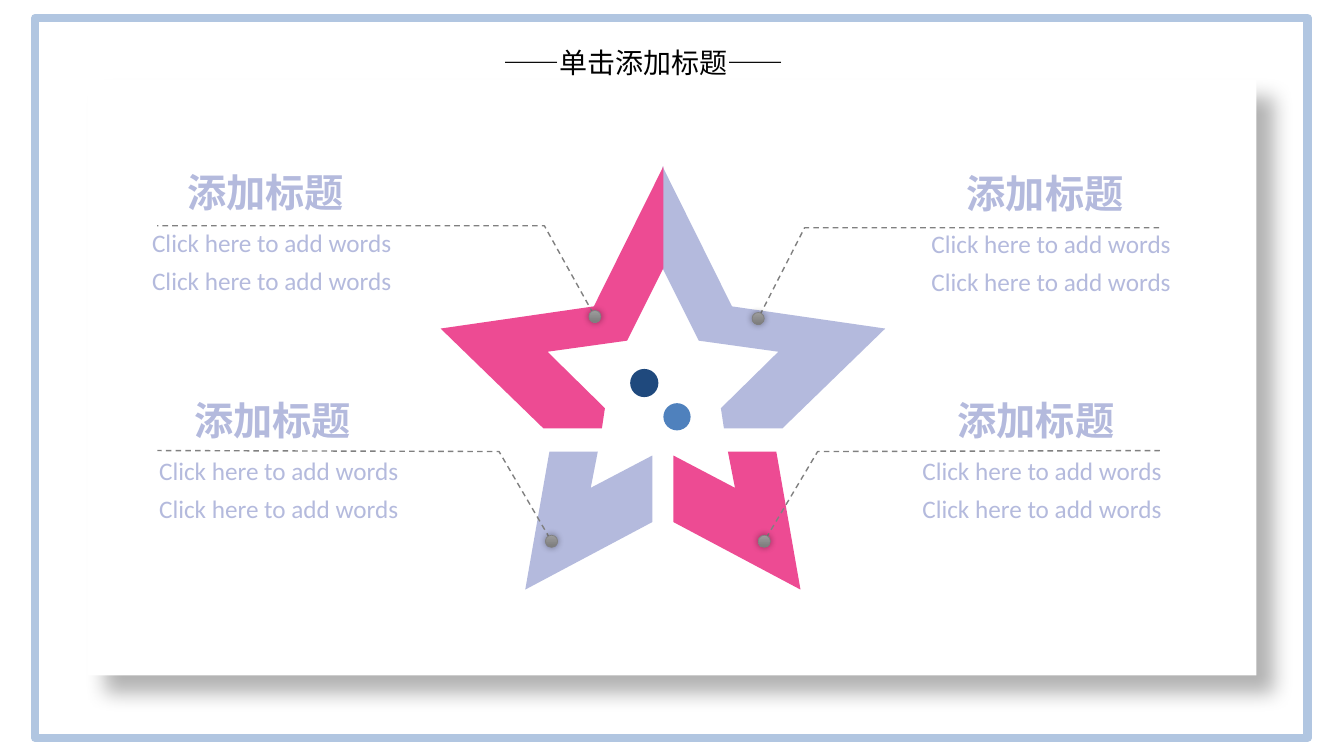
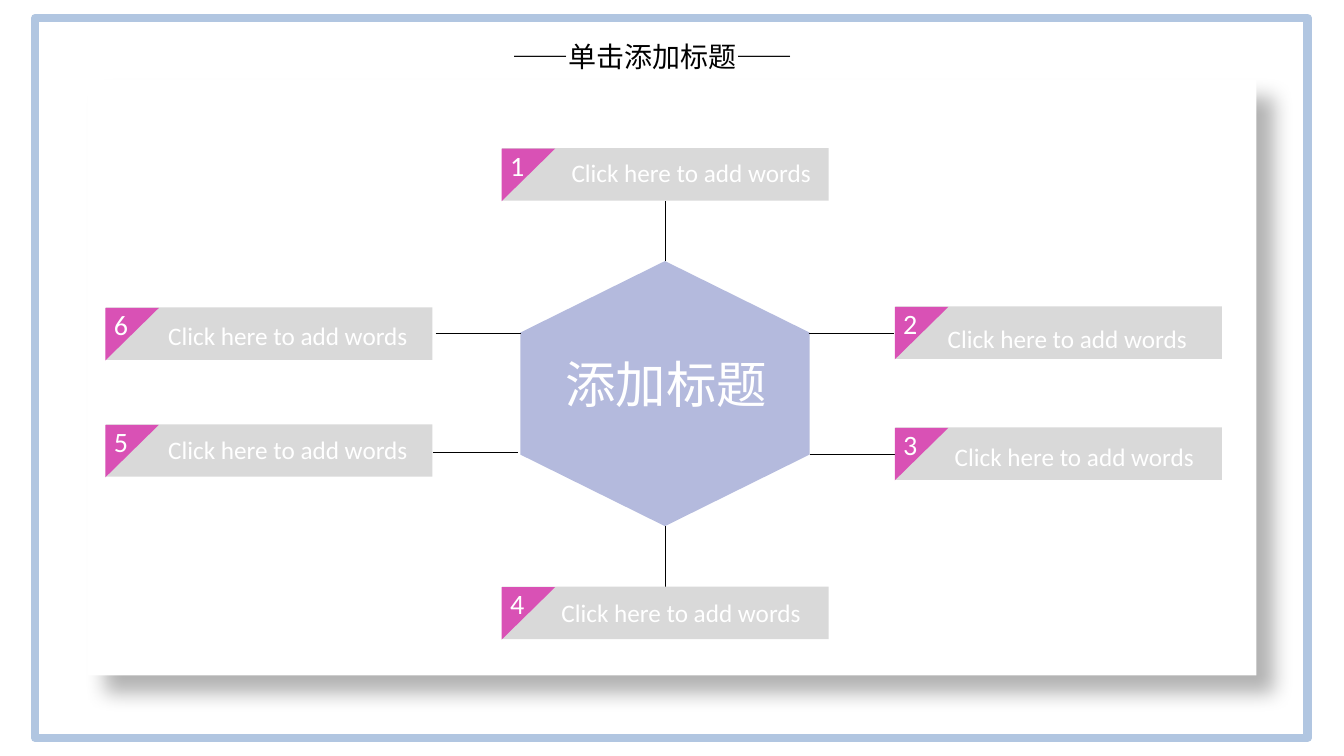
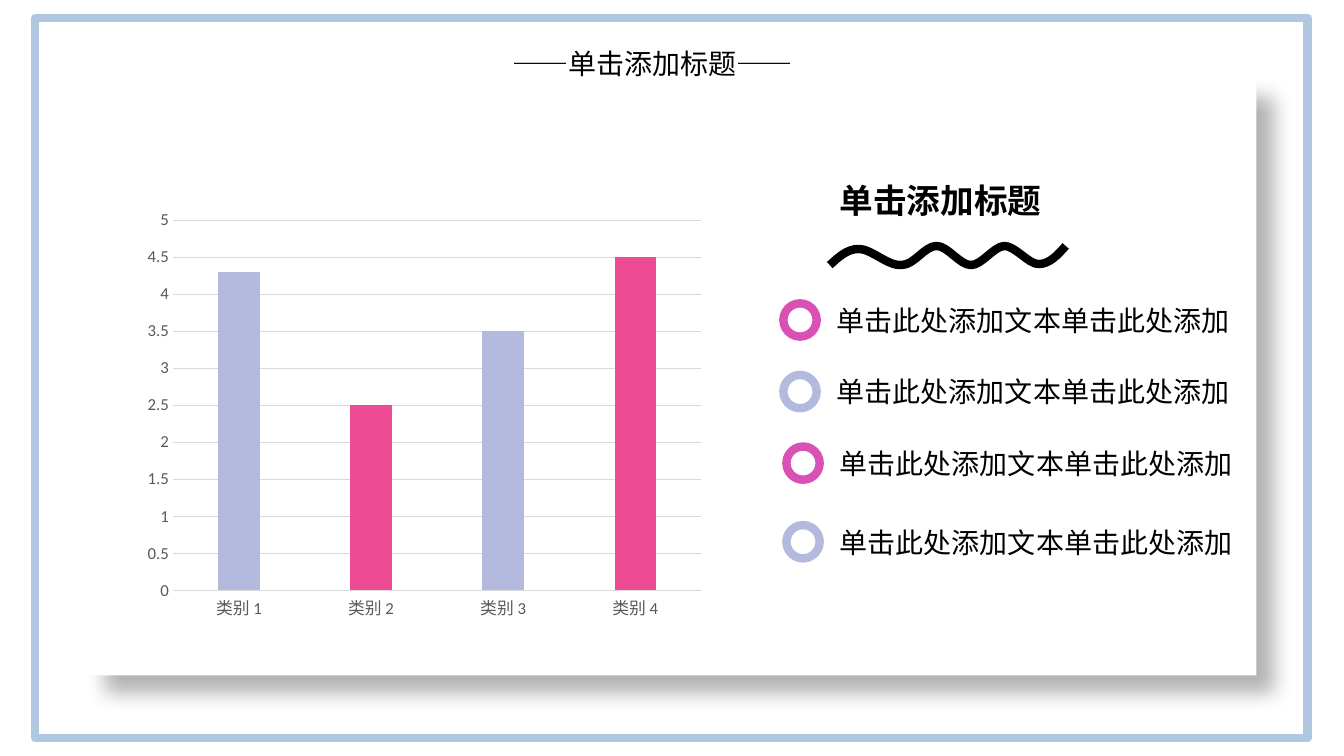
from dataclasses import dataclass
from itertools import cycle

from lxml import etree
from pptx import Presentation
from pptx.chart.data import CategoryChartData
from pptx.dml.color import RGBColor
from pptx.enum.chart import XL_CHART_TYPE, XL_TICK_MARK
from pptx.enum.dml import MSO_LINE
from pptx.enum.shapes import MSO_CONNECTOR, MSO_SHAPE
from pptx.enum.text import MSO_ANCHOR, MSO_AUTO_SIZE, PP_ALIGN
from pptx.oxml.ns import qn
from pptx.shapes.autoshape import Shape
from pptx.slide import Slide
from pptx.text.text import TextFrame
from pptx.util import Emu, Pt

PX = 9144  # EMU in one px, 100 px to the inch
RECTANGLE = MSO_SHAPE.RECTANGLE
OVAL = MSO_SHAPE.OVAL
HEXAGON = MSO_SHAPE.HEXAGON
TRIANGLE = MSO_SHAPE.RIGHT_TRIANGLE
COLUMNS = XL_CHART_TYPE.COLUMN_CLUSTERED
NO_TICK = XL_TICK_MARK.NONE
TITLE_ONLY = 5

Point = tuple[int, int]
Area = tuple[int, int, int, int]


@dataclass(frozen=True)
class Theme:
    white: str = "FFFFFF"
    black: str = "000000"
    frame: str = "B1C6E1"
    pink: str = "ED4B93"
    magenta: str = "D951B5"
    lilac: str = "B4BADD"
    navy: str = "1F497D"
    blue: str = "4F81BD"
    bar: str = "D9D9D9"
    leader: str = "808080"
    dot_top: str = "9D9D9D"
    dot_bottom: str = "7C7C7C"
    axis_text: str = "595959"
    latin: str = "Calibri"
    chinese: str = "Noto Sans CJK SC"
    axis_size: int = 12
    words_size: int = 18
    title_size: int = 20
    subtitle_size: int = 24
    heading_size: int = 28
    hub_size: int = 36
    hairline: float = 0.5
    grid: float = 0.75
    thin: int = 1
    thick: int = 6


THEME = Theme()


@dataclass(frozen=True)
class TextStyle:
    size: int
    color: str
    font: str = THEME.latin
    bold: bool = False


TITLE = TextStyle(THEME.title_size, THEME.black, THEME.chinese)
HEADING = TextStyle(THEME.heading_size, THEME.lilac, THEME.chinese, True)
WORDS = TextStyle(THEME.words_size, THEME.lilac)
BAR_WORDS = TextStyle(THEME.words_size, THEME.white)
NUMBER = TextStyle(THEME.title_size, THEME.white)
HUB = TextStyle(THEME.hub_size, THEME.white, THEME.chinese)
SUBTITLE = TextStyle(THEME.subtitle_size, THEME.black, THEME.chinese, True)


@dataclass(frozen=True)
class Callout:
    heading: Point
    leader: tuple[Point, Point, Point]


@dataclass(frozen=True)
class Branch:
    bar: Point
    words: Point
    spoke: tuple[Point, Point]


CALLOUTS = (
    Callout((176, 162), ((590, 314), (540, 224), (156, 224))),
    Callout((949, 163), ((752, 316), (798, 226), (1151, 226))),
    Callout((183, 388), ((547, 537), (495, 448), (156, 447))),
    Callout((940, 388), ((758, 537), (811, 448), (1154, 447))),
)
BRANCHES = (
    Branch((498, 147), (557, 151), ((660, 199), (660, 259))),
    Branch((888, 304), (930, 316), ((802, 331), (887, 331))),
    Branch((888, 424), (937, 433), ((803, 451), (888, 451))),
    Branch((498, 582), (547, 588), ((660, 522), (660, 582))),
    Branch((105, 421), (157, 426), ((429, 449), (514, 449))),
    Branch((105, 305), (157, 313), ((432, 331), (517, 331))),
)
STAR_ARM = ((726, 304), (657, 165), (657, 266), (693, 338), (772, 349),
            (715, 405), (718, 425), (776, 425), (878, 326))
STAR_LEG = ((668, 452), (668, 518), (794, 585), (770, 448), (722, 448), (729, 484))
STAR_MIRROR = 1315  # sum of the x of two mirrored points
WAVE = ((823, 263),
        (832, 255), (840, 247), (852, 247), (864, 247), (881, 264), (894, 263),
        (907, 263), (917, 244), (929, 244), (940, 244), (952, 263), (963, 263),
        (974, 263), (985, 245), (996, 244), (1007, 244), (1020, 262), (1030, 262),
        (1041, 262), (1049, 253), (1057, 244))
RINGS = ((777, 301), (777, 372), (780, 443), (780, 521))


def rgb(value: str) -> RGBColor:
    return RGBColor.from_string(value)


def px(*values: int) -> list[Emu]:
    return [Emu(value * PX) for value in values]


def paint(shape: Shape, fill: str | None, line: str | None = None, width: float = 0) -> Shape:
    """Give a shape a plain fill and line, or none, and take its shadow away."""
    shape.shadow.inherit = False
    if fill:
        shape.fill.solid()
        shape.fill.fore_color.rgb = rgb(fill)
    else:
        shape.fill.background()
    if line:
        shape.line.color.rgb = rgb(line)
        shape.line.width = Pt(width)
    else:
        shape.line.fill.background()
    return shape


def add_preset(slide: Slide, preset: MSO_SHAPE, area: Area, fill: str | None,
               line: str | None = None, width: float = 0) -> Shape:
    return paint(slide.shapes.add_shape(preset, *px(*area)), fill, line, width)


def cast_shadow(shape: Shape, opacity: int, blur: int, distance: int, angle: int) -> None:
    """Add a black outer shadow; lengths in points, opacity in percent."""
    effects = shape._element.spPr.find(qn("a:effectLst"))
    shadow = etree.SubElement(effects, qn("a:outerShdw"), blurRad=str(Pt(blur)),
                              dist=str(Pt(distance)), dir=str(angle * 60000),
                              algn="ctr", rotWithShape="0")
    color = etree.SubElement(shadow, qn("a:srgbClr"), val=THEME.black)
    etree.SubElement(color, qn("a:alpha"), val=str(opacity * 1000))


def add_outline(slide: Slide, points: tuple[Point, ...], close: bool) -> Shape:
    builder = slide.shapes.build_freeform(*points[0], scale=PX)
    builder.add_line_segments(points[1:], close=close)
    return builder.convert_to_shape()


def add_line(slide: Slide, start: Point, end: Point) -> None:
    line = slide.shapes.add_connector(MSO_CONNECTOR.STRAIGHT, *px(*start, *end))
    line.line.color.rgb = rgb(THEME.black)
    line.line.width = Pt(THEME.hairline)
    etree.SubElement(line._element.spPr, qn("a:effectLst"))


def write(frame: TextFrame, text: str, style: TextStyle) -> None:
    frame.word_wrap = True
    frame.auto_size = MSO_AUTO_SIZE.SHAPE_TO_FIT_TEXT
    frame.vertical_anchor = MSO_ANCHOR.TOP
    span = frame.paragraphs[0].add_run()
    span.text = text
    span.font.size = Pt(style.size)
    span.font.bold = style.bold
    span.font.color.rgb = rgb(style.color)
    span.font.name = style.font
    etree.SubElement(span.font._element, qn("a:ea"), typeface=style.font)


def add_text(slide: Slide, area: Area, text: str, style: TextStyle) -> TextFrame:
    box = slide.shapes.add_textbox(*px(*area))
    write(box.text_frame, text, style)
    return box.text_frame


def add_page(deck, title_at: Point) -> Slide:
    """Add a slide with the frame, the raised panel and the title."""
    page = deck.slides.add_slide(deck.slide_layouts[TITLE_ONLY])
    add_preset(page, RECTANGLE, (35, 18, 1262, 714), THEME.white, THEME.frame, THEME.thick)
    panel = add_preset(page, RECTANGLE, (87, 79, 1159, 591), THEME.white)
    cast_shadow(panel, opacity=30, blur=15, distance=18, angle=45)
    title = page.shapes.title
    title.left, title.top, title.width, title.height = px(*title_at, 338, 44)
    write(title.text_frame, "——单击添加标题——", TITLE)
    title.text_frame.paragraphs[0].alignment = PP_ALIGN.JUSTIFY
    page.shapes._spTree.append(title._element)  # bring in front of the panel
    return page


def add_star(page: Slide) -> None:
    for points, right, left in ((STAR_LEG, THEME.pink, THEME.lilac),
                                (STAR_ARM, THEME.lilac, THEME.pink)):
        mirrored = tuple((STAR_MIRROR - x, y) for x, y in points)
        paint(add_outline(page, points, close=True), right)
        paint(add_outline(page, mirrored, close=True), left)
    add_preset(page, OVAL, (625, 366, 28, 28), THEME.navy)
    add_preset(page, OVAL, (658, 400, 27, 27), THEME.blue)


def add_callout(page: Slide, callout: Callout) -> None:
    leader = paint(add_outline(page, callout.leader, close=False),
                   None, THEME.leader, THEME.thin)
    leader.line.dash_style = MSO_LINE.DASH
    etree.SubElement(leader._element.spPr.find(qn("a:ln")), qn("a:headEnd"), type="oval")

    x, y = callout.leader[0]
    dot = add_preset(page, OVAL, (x - 6, y - 6, 12, 12),
                     THEME.dot_top, THEME.leader, THEME.hairline)
    dot.fill.gradient()
    dot.fill.gradient_angle = 270
    for stop, color in zip(dot.fill.gradient_stops, (THEME.dot_top, THEME.dot_bottom)):
        stop.color.rgb = rgb(color)
    cast_shadow(dot, opacity=40, blur=5, distance=0, angle=0)

    x, y = callout.heading
    add_text(page, (x, y, 295, 57), "添加标题", HEADING)
    for offset in (59, 96):
        add_text(page, (x - 35, y + offset, 275, 40), "Click here to add words", WORDS)


def add_branch(page: Slide, number: int, branch: Branch) -> None:
    x, y = branch.bar
    add_line(page, *branch.spoke)
    add_preset(page, RECTANGLE, (x, y, 324, 52), THEME.bar)
    add_preset(page, TRIANGLE, (x, y, 52, 53), THEME.magenta).rotation = 90
    label = add_text(page, (x - 2, y - 5, 19, 44), str(number), NUMBER)
    label.margin_right = 0
    add_text(page, (*branch.words, 341, 40), "Click here to add words", BAR_WORDS)


def add_columns(page: Slide) -> None:
    values = (4.3, 2.5, 3.5, 4.5)
    data = CategoryChartData()
    data.categories = [f"类别 {number}" for number in range(1, len(values) + 1)]
    data.add_series("Series 1", values)
    chart = page.shapes.add_chart(COLUMNS, *px(135, 200, 572, 423), data).chart
    chart.has_title = False
    chart.has_legend = False
    chart.font.name = THEME.latin
    chart.font.size = Pt(THEME.axis_size)
    chart.font.color.rgb = rgb(THEME.axis_text)

    plot = chart.plots[0]
    plot.gap_width = 219
    plot.overlap = -27
    plot.vary_by_categories = False
    series = plot.series[0]
    series.invert_if_negative = False
    for index, color in zip(range(len(values)), cycle((THEME.lilac, THEME.pink))):
        fill = series.points[index].format.fill
        fill.solid()
        fill.fore_color.rgb = rgb(color)

    scale = chart.value_axis
    scale.minimum_scale, scale.maximum_scale, scale.major_unit = 0, 5, 0.5
    scale.format.line.fill.background()
    for axis in (chart.category_axis, scale):
        axis.major_tick_mark = NO_TICK
        axis.minor_tick_mark = NO_TICK
    for rule in (chart.category_axis.format.line, scale.major_gridlines.format.line):
        rule.color.rgb = rgb(THEME.bar)
        rule.width = Pt(THEME.grid)


def add_wave(page: Slide) -> None:
    """Draw a line whose points after the first are cubic curves, three to each."""
    wave = paint(add_outline(page, WAVE, close=False), None, THEME.black, THEME.thick)
    outline = next(wave._element.iter(qn("a:path")))
    steps = outline.findall(qn("a:lnTo"))
    for first in range(0, len(steps), 3):
        curve = etree.SubElement(outline, qn("a:cubicBezTo"))
        for step in steps[first:first + 3]:
            curve.append(step[0])
            outline.remove(step)


def build_star_page(deck) -> None:
    page = add_page(deck, (489, 40))
    add_star(page)
    for callout in CALLOUTS:
        add_callout(page, callout)


def build_hexagon_page(deck) -> None:
    page = add_page(deck, (498, 34))
    hexagon = add_preset(page, HEXAGON, (528, 247, 263, 287), THEME.lilac)
    hexagon.adjustments[0] = 0.27
    hexagon.rotation = 90
    for number, branch in enumerate(BRANCHES, start=1):
        add_branch(page, number, branch)
    add_text(page, (551, 345, 236, 71), "添加标题", HUB)


def build_chart_page(deck) -> None:
    page = add_page(deck, (498, 41))
    add_columns(page)
    add_text(page, (823, 174, 408, 50), "单击添加标题", SUBTITLE)
    add_wave(page)
    for (x, y), color in zip(RINGS, cycle((THEME.magenta, THEME.lilac))):
        add_preset(page, OVAL, (x, y, 33, 33), None, color, THEME.thick)
        add_text(page, (x + 43, y - 5, 423, 44), "单击此处添加文本单击此处添加", TITLE)


def main() -> None:
    deck = Presentation()
    deck.slide_width, deck.slide_height = px(1333, 750)
    build_star_page(deck)
    build_hexagon_page(deck)
    build_chart_page(deck)
    deck.save("out.pptx")


if __name__ == "__main__":
    main()
